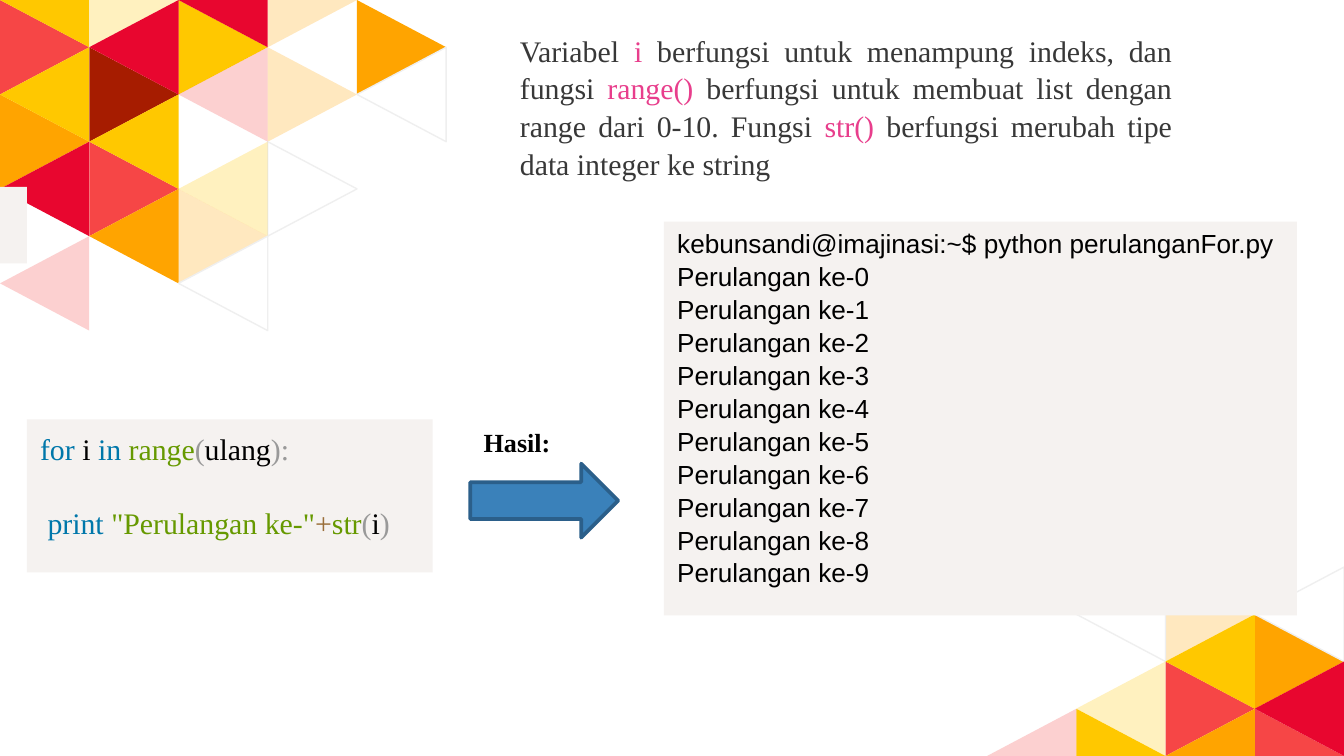
from dataclasses import dataclass

from lxml import etree
from pptx import Presentation
from pptx.dml.color import RGBColor
from pptx.enum.shapes import MSO_SHAPE
from pptx.enum.text import MSO_ANCHOR, PP_ALIGN
from pptx.oxml.ns import qn
from pptx.util import Inches, Pt

RECT = MSO_SHAPE.RECTANGLE
RIGHT_ARROW = MSO_SHAPE.RIGHT_ARROW
TOP, MIDDLE = MSO_ANCHOR.TOP, MSO_ANCHOR.MIDDLE
LEFT, JUSTIFY = PP_ALIGN.LEFT, PP_ALIGN.JUSTIFY


@dataclass(frozen=True)
class Theme:
    """Colours, fonts and type sizes of the slide."""
    serif: str = "Times New Roman"
    sans: str = "Arial"
    body: int = 16
    small: int = 14
    black: str = "000000"
    text: str = "383838"
    pink: str = "E83E8C"
    keyword: str = "0077AA"
    literal: str = "669900"
    bracket: str = "999999"
    operator: str = "9A6E3A"
    panel: str = "F5F2F0"
    arrow: str = "3A81BA"
    arrow_line: str = "2B5F8A"
    white: str = "FFFFFF"
    outline: str = "EFEFEF"
    yellow: str = "FFC800"
    orange: str = "FFA400"
    coral: str = "F64646"
    red: str = "E8062F"
    maroon: str = "A61C00"


T = Theme()
WIDTH, HEIGHT = 10, 10 * 9 / 16
TRI_W, TRI_H = 3.32 / 5, 2.46 / 7
TILES = {"Y": T.yellow, "O": T.orange, "C": T.coral, "R": T.red,
         "M": T.maroon, "W": T.white}
TOP_COLUMNS = ["YCYOR.c", "yRMYCO", "RYc.yoW", "o.o.W", ".OW"]
BOTTOM_COLUMNS = ["...c", "W.yY", "oYCO", "WORC"]

EXPLANATION = [[
    ("Variabel ", T.text), ("i ", T.pink),
    ("berfungsi untuk menampung indeks, dan fungsi ", T.text),
    ("range() ", T.pink),
    ("berfungsi untuk membuat list dengan range dari 0-10. Fungsi ", T.text),
    ("str() ", T.pink),
    ("berfungsi merubah tipe data integer ke string", T.text),
]]
CODE = [
    [("for", T.keyword), (" i ", T.black), ("in ", T.keyword),
     ("range", T.literal), ("(", T.bracket), ("ulang", T.black),
     ("):", T.bracket)],
    [(" ", T.black), ("print ", T.keyword), ('"Perulangan ke-"', T.literal),
     ("+", T.operator), ("str", T.literal), ("(", T.bracket),
     ("i", T.black), (")", T.bracket)],
]
OUTPUT = ["kebunsandi@imajinasi:~$ python perulanganFor.py"]
OUTPUT += [f"Perulangan ke-{i}" for i in range(10)]


def rgb(color):
    """Return the colour object of a hex string."""
    return RGBColor.from_string(color)


def paint(sp, fill, line=None, line_width=0.75, alpha=None):
    """Set the fill, opacity and line of a shape."""
    sp.shadow.inherit = False
    sp.fill.solid()
    sp.fill.fore_color.rgb = rgb(fill)
    if alpha:
        clr = sp._element.spPr.find(qn("a:solidFill"))[0]
        etree.SubElement(clr, qn("a:alpha"), val=str(alpha * 1000))
    if line:
        sp.line.color.rgb = rgb(line)
        sp.line.width = Pt(line_width)
    else:
        sp.line.fill.background()


def add_shape(s, kind, box, fill, **line):
    """Add a painted preset shape."""
    sp = s.shapes.add_shape(kind, *map(Inches, box))
    paint(sp, fill, **line)
    return sp


def add_text_box(s, box):
    """Add an empty text box."""
    return s.shapes.add_textbox(*map(Inches, box))


def write(sp, paragraphs, size=T.body, font=T.serif, bold=False, align=LEFT,
          anchor=TOP, insets=(0.1, 0.05, 0.1, 0.05), spacing=1.05, gap=0):
    """Write paragraphs of (text, colour) runs into a shape."""
    tf = sp.text_frame
    tf.word_wrap = True
    tf.vertical_anchor = anchor
    (tf.margin_left, tf.margin_top,
     tf.margin_right, tf.margin_bottom) = map(Inches, insets)
    for i, runs in enumerate(paragraphs):
        p = tf.add_paragraph() if i else tf.paragraphs[0]
        p.alignment = align
        p.line_spacing = spacing
        p.space_before = Pt(gap if i else 0)
        for text, color in runs:
            r = p.add_run()
            r.text = text
            r.font.name, r.font.size, r.font.bold = font, Pt(size), bold
            r.font.color.rgb = rgb(color)


def add_panel(s, box, paragraphs, **fmt):
    """Add a grey panel with text."""
    sp = add_shape(s, RECT, box, T.panel)
    write(sp, paragraphs, anchor=MIDDLE, insets=(0.1, 0.08, 0.1, 0.25), **fmt)


def add_triangle(s, left, top, col, row, rows, tile):
    """Add one mosaic triangle, cut off at the first and last row."""
    base, tip = (col, col + 1) if (col + row) % 2 == 0 else (col + 1, col)
    corners = [(base, row), (base, row + 2), (tip, row + 1)]
    points = [(Inches(left + x * TRI_W),
               Inches(top + min(max(y, 0), rows) * TRI_H)) for x, y in corners]
    builder = s.shapes.build_freeform(*points[0])
    builder.add_line_segments(points[1:], close=True)
    paint(builder.convert_to_shape(), TILES[tile.upper()],
          line=T.outline if tile == "W" else None,
          alpha=25 if tile.islower() else None)


def add_mosaic(s, left, top, columns, first_row, rows):
    """Add a triangle mosaic, right-pointing tiles first; lower case is faded."""
    cells = [(col, row, tile) for col, tiles in enumerate(columns)
             for row, tile in enumerate(tiles, first_row) if tile != "."]
    for col, row, tile in sorted(cells, key=lambda c: (c[0] + c[1]) % 2):
        add_triangle(s, left, top, col, row, rows, tile)


def main():
    """Build the slide and save it."""
    prs = Presentation()
    prs.slide_width, prs.slide_height = Inches(WIDTH), Inches(HEIGHT)
    s = prs.slides.add_slide(prs.slide_layouts[6])

    add_mosaic(s, WIDTH - 4 * TRI_W, HEIGHT - 4 * TRI_H, BOTTOM_COLUMNS, 0, 4)
    add_mosaic(s, 0, 0, TOP_COLUMNS, -1, 7)

    add_shape(s, RECT, (0, 1.39, 0.2, 0.57), T.panel)
    write(add_text_box(s, (3.77, 0.18, 5.05, 1.72)), EXPLANATION,
          align=JUSTIFY)
    add_panel(s, (0.2, 3.12, 3.02, 1.14), CODE, gap=19.3)
    write(add_text_box(s, (3.5, 3.12, 0.94, 0.34)), [[("Hasil:", T.black)]],
          size=T.small, bold=True, spacing=1)
    add_panel(s, (4.94, 1.65, 4.71, 2.93),
              [[(line, T.black)] for line in OUTPUT],
              size=T.small, font=T.sans)
    add_shape(s, RIGHT_ARROW, (3.5, 3.45, 1.1, 0.55), T.arrow,
              line=T.arrow_line, line_width=2)

    prs.save("out.pptx")


if __name__ == "__main__":
    main()
